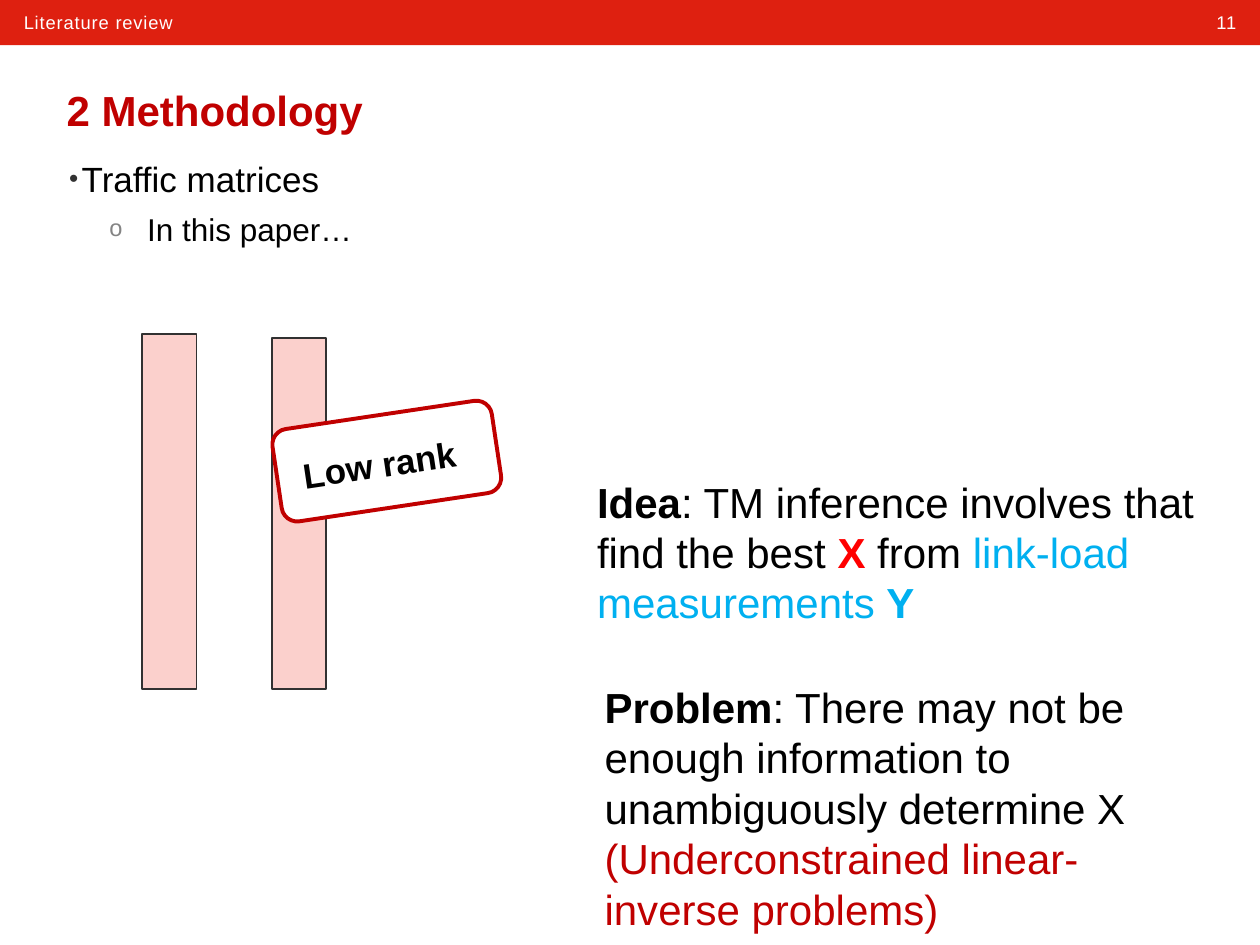
from lxml.etree import SubElement
from pptx import Presentation
from pptx.dml.color import RGBColor
from pptx.enum.shapes import MSO_SHAPE
from pptx.enum.text import MSO_ANCHOR, PP_ALIGN
from pptx.oxml.ns import qn
from pptx.util import Inches, Pt

WIDTH, HEIGHT = 10, 7.5
BLACK, WHITE, CRIMSON, SKY = "000000", "FFFFFF", "C00000", "00B0F0"
BANNER, PINK, OUTLINE = "DE2010", "FBD0CC", "313131"
TILT = -8.5


def rgb(color):
    return RGBColor.from_string(color)


def add_block(slide, kind, box, fill, line=None, weight=1, rotation=0):
    block = slide.shapes.add_shape(kind, *map(Inches, box))
    block.shadow.inherit = False
    block.rotation = rotation
    block.fill.solid()
    block.fill.fore_color.rgb = rgb(fill)
    if line:
        block.line.color.rgb = rgb(line)
        block.line.width = Pt(weight)
    else:
        block.line.fill.background()


def add_frame(slide, box, anchor=MSO_ANCHOR.TOP, rotation=0):
    holder = slide.shapes.add_textbox(*map(Inches, box))
    holder.rotation = rotation
    frame = holder.text_frame
    frame.word_wrap = True
    frame.vertical_anchor = anchor
    return frame


def add_run(paragraph, text, size=24, color=BLACK, bold=False, spacing=0):
    run = paragraph.add_run()
    run.text = text
    run.font.name = "Arial"
    run.font.size = Pt(size)
    run.font.bold = bold
    run.font.color.rgb = rgb(color)
    if spacing:
        run.font._element.set("spc", str(round(spacing * 100)))


def set_bullet(paragraph, char, color, margin, indent):
    props = paragraph._p.get_or_add_pPr()
    props.set("marL", str(Inches(margin)))
    props.set("indent", str(Inches(indent)))
    tint = SubElement(props, qn("a:buClr"))
    SubElement(tint, qn("a:srgbClr"), val=color)
    SubElement(props, qn("a:buSzPct"), val="75000")
    SubElement(props, qn("a:buFont"), typeface="Arial")
    SubElement(props, qn("a:buChar"), char=char)


def draw_banner(slide, box, section, number):
    left, top, width, height = box
    add_block(slide, MSO_SHAPE.RECTANGLE, box, BANNER)
    margin, drop, number_width = 0.09, 0.04, 0.72
    section_box = (left + margin, top + drop, 6.25, height - 2 * drop)
    number_box = (left + width - margin - number_width, top + drop,
                  number_width, height - 2 * drop)
    for text, part, align in ((section, section_box, PP_ALIGN.LEFT),
                              (number, number_box, PP_ALIGN.RIGHT)):
        paragraph = add_frame(slide, part).paragraphs[0]
        paragraph.alignment = align
        add_run(paragraph, text, size=10.5, color=WHITE, spacing=0.5)


def draw_title(slide, box, title):
    frame = add_frame(slide, box, anchor=MSO_ANCHOR.MIDDLE)
    add_run(frame.paragraphs[0], title, color=CRIMSON, bold=True)


def draw_outline(slide, box, topic, detail):
    frame = add_frame(slide, box)
    topic_line = frame.paragraphs[0]
    set_bullet(topic_line, "•", "323232", 0.1, -0.2)
    add_run(topic_line, topic, size=20)
    detail_line = frame.add_paragraph()
    detail_line.level = 1
    detail_line.space_before = Pt(6)
    set_bullet(detail_line, "o", "848484", 0.62, -0.3)
    add_run(detail_line, detail, size=18)


def draw_statement(slide, box, *parts):
    paragraph = add_frame(slide, box).paragraphs[0]
    for text, style in parts:
        add_run(paragraph, text, **style)


def draw_matrix_columns(slide, box):
    left, top, width, height = box
    column, drop = 0.43, 0.03
    add_block(slide, MSO_SHAPE.RECTANGLE, (left, top, column, height), PINK, OUTLINE)
    add_block(slide, MSO_SHAPE.RECTANGLE,
              (left + width - column, top + drop, column, height - drop), PINK, OUTLINE)


def draw_stamp(slide, box, label):
    left, top, width, height = box
    add_block(slide, MSO_SHAPE.ROUNDED_RECTANGLE, box, WHITE, CRIMSON, 2.25, TILT)
    label_box = (left + 0.11, top + 0.15, width, height - 0.3)
    frame = add_frame(slide, label_box, rotation=TILT)
    add_run(frame.paragraphs[0], label, size=20, bold=True)


def main():
    deck = Presentation()
    deck.slide_width, deck.slide_height = Inches(WIDTH), Inches(HEIGHT)
    slide = deck.slides.add_slide(deck.slide_layouts[6])

    draw_banner(slide, (0, 0, WIDTH, 0.36), "Literature review", "11")
    draw_title(slide, (0.43, 0.55, 9.13, 0.64), "2 Methodology")
    draw_outline(slide, (0.45, 1.2, 9.13, 5.83), "Traffic matrices", "In this paper…")
    draw_statement(
        slide, (4.64, 3.73, 4.96, 1.31),
        ("Idea", {"bold": True}),
        (": TM inference involves that find the best ", {}),
        ("X", {"color": "FF0000", "bold": True}),
        (" from ", {}),
        ("link-load measurements ", {"color": SKY}),
        ("Y", {"color": SKY, "bold": True}))
    draw_statement(
        slide, (4.7, 5.36, 5.01, 2.12),
        ("Problem", {"bold": True}),
        (": There may not be enough information to unambiguously determine X ", {}),
        ("(Underconstrained linear-inverse problems)", {"color": CRIMSON}))
    draw_matrix_columns(slide, (1.13, 2.65, 1.46, 2.82))
    draw_stamp(slide, (2.19, 3.29, 1.76, 0.74), "Low rank")

    deck.save("out.pptx")


if __name__ == "__main__":
    main()
